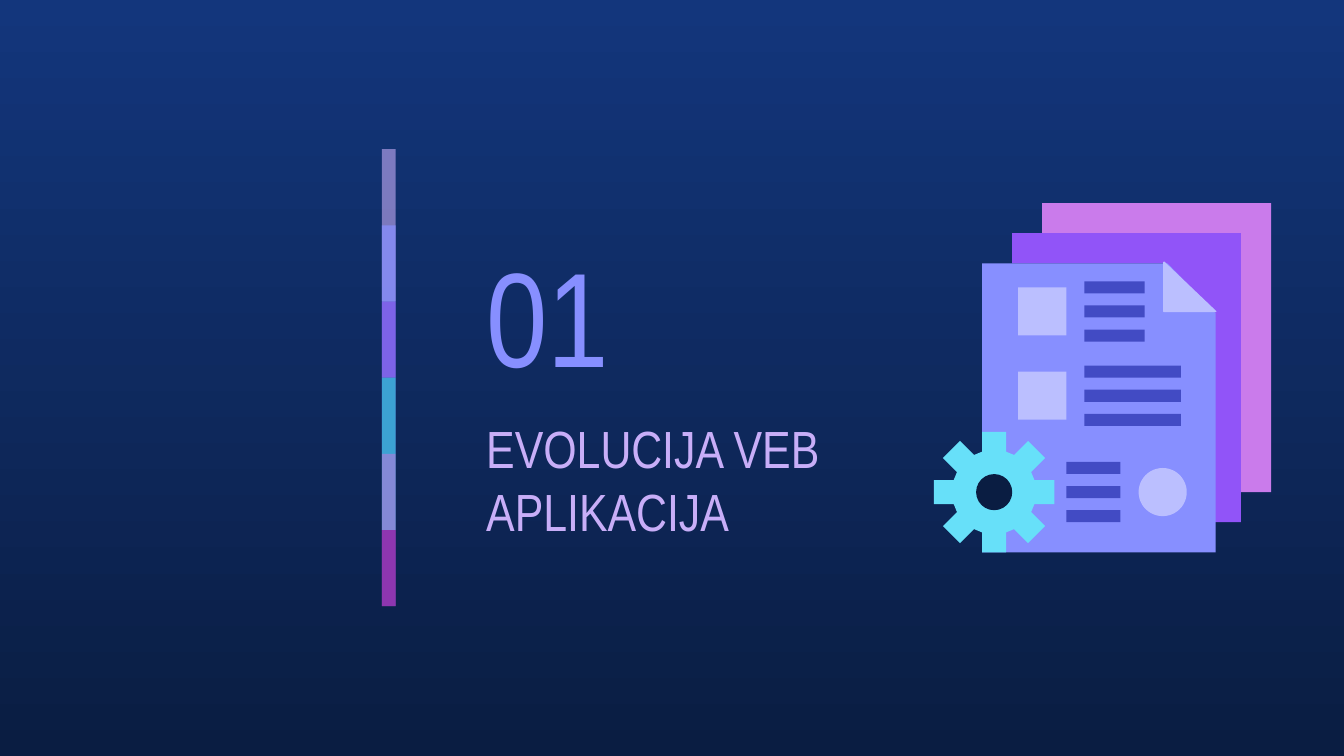
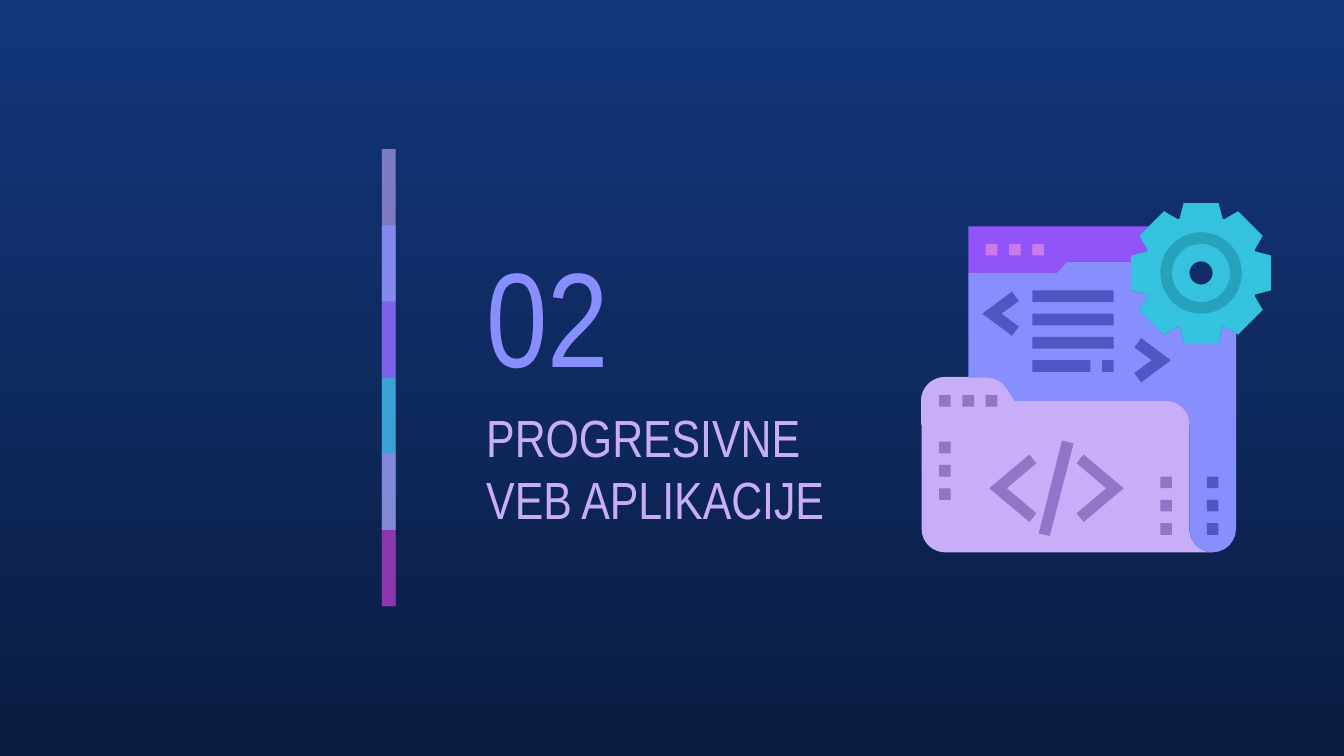
import math

import pptx
import pptx.dml.color
import pptx.enum.shapes
import pptx.enum.text
import pptx.oxml.ns
import pptx.util
from lxml import etree

Cm = pptx.util.Cm
PRESET = pptx.enum.shapes.MSO_SHAPE
ANCHOR = pptx.enum.text.MSO_ANCHOR

FONT = "Arial Narrow"
COLORS = {
    "sky": "13367C",
    "night": "0A1D42",
    "blue": "878FFF",
    "lilac": "C8AEF8",
    "violet": "9154F8",
    "pink": "CA7BEB",
    "purple": "972CB4",
    "cyan": "35C2DF",
    "teal": "26A2BC",
    "aqua": "67E0F9",
    "pale": "BBBFFF",
    "indigo": "424BC4",
    "code": "4F57C3",
    "plum": "9275C8",
}
# Colour and opacity of the overlapping bands, from top to bottom
BANDS = [("lilac", 59), ("blue", 74), ("violet", 53),
         ("cyan", 76), ("pink", 56), ("purple", 74)]
BAND_STEP = 1.44


def rgb(color):
    return pptx.dml.color.RGBColor.from_string(COLORS[color])


def paint(shape, color, line=False, opacity=None):
    shape.shadow.inherit = False
    shape.fill.solid()
    shape.fill.fore_color.rgb = rgb(color)
    if opacity is not None:
        qn = pptx.oxml.ns.qn
        solid = shape._element.spPr.find(qn("a:solidFill"))
        etree.SubElement(solid[0], qn("a:alpha"), val=str(opacity * 1000))
    if line:
        shape.line.color.rgb = rgb(color)
        shape.line.width = pptx.util.Pt(0.75)
    else:
        shape.line.fill.background()


def add_text(slide, text, left, top, width, height, *, size, color,
             anchor=ANCHOR.MIDDLE):
    frame = slide.shapes.add_textbox(
        Cm(left), Cm(top), Cm(width), Cm(height)).text_frame
    frame.word_wrap = True
    frame.vertical_anchor = anchor
    frame.margin_left = frame.margin_right = Cm(0.25)
    frame.margin_top = frame.margin_bottom = Cm(0.25)
    run = frame.paragraphs[0].add_run()
    run.text = text
    run.font.name = FONT
    run.font.size = pptx.util.Pt(size)
    run.font.color.rgb = rgb(color)


class Icon:
    """A group of shapes placed on a square grid of its own."""

    def __init__(self, slide, left, top, unit):
        self.shapes = slide.shapes.add_group_shape().shapes
        self.left, self.top, self.unit = left, top, unit

    def at(self, x, y):
        return Cm(self.left + x * self.unit), Cm(self.top + y * self.unit)

    def preset(self, kind, x, y, width, height, color):
        shape = self.shapes.add_shape(
            kind, *self.at(x, y), Cm(width * self.unit), Cm(height * self.unit))
        paint(shape, color)
        return shape

    def rect(self, x, y, width, height, color):
        self.preset(PRESET.RECTANGLE, x, y, width, height, color)

    def disc(self, x, y, radius, color):
        self.preset(PRESET.OVAL, x - radius, y - radius,
                    2 * radius, 2 * radius, color)

    def ring(self, x, y, radius, hole, color):
        donut = self.preset(PRESET.DONUT, x - radius, y - radius,
                            2 * radius, 2 * radius, color)
        donut.adjustments[0] = (radius - hole) / (2 * radius)

    def outline(self, color, *contours, line=False):
        pen = self.shapes.build_freeform(*self.at(*contours[0][0]))
        for index, contour in enumerate(contours):
            points = [self.at(*point) for point in contour]
            if index:
                pen.move_to(*points[0])
            pen.add_line_segments(points[1:], close=True)
        paint(pen.convert_to_shape(), color, line)


# Outlines as lists of grid points

def arc(x, y, radius, start, end, steps=12):
    angles = [math.radians(start + (end - start) * i / steps)
              for i in range(steps + 1)]
    return [(x + radius * math.cos(a), y + radius * math.sin(a)) for a in angles]


def gear_points(x, y, root, tip):
    """Eight teeth, clockwise from the top; root and tip are (half width, radius)."""
    tooth = [(-root[0], -root[1]), (-tip[0], -tip[1]),
             (tip[0], -tip[1]), (root[0], -root[1])]
    points = []
    for number in range(8):
        cos, sin = math.cos(number * math.pi / 4), math.sin(number * math.pi / 4)
        points += [(x + dx * cos - dy * sin, y + dx * sin + dy * cos)
                   for dx, dy in tooth]
    return points


def angle_bracket(x, y, side, outer, inner, notch):
    """Bracket with its tip at x, y; side is 1 for < and -1 for >."""
    offsets = [(outer[0], -outer[1]), (0, 0), outer,
               inner, (notch, 0), (inner[0], -inner[1])]
    return [(x + side * dx, y + dy) for dx, dy in offsets]


def draw_documents(slide):
    icon = Icon(slide, 17.65, 3.84, 6.6 / 58)
    # Three stacked sheets
    icon.outline("pink", [(18, 0), (18, 5), (51, 5), (51, 48), (56, 48), (56, 0)])
    icon.outline("violet", [(13, 5), (13, 10), (38, 10), (46, 18), (46, 53),
                            (51, 53), (51, 5)])
    icon.outline("blue", [(8, 10), (8, 58), (46.8, 58), (46.8, 18.3), (38.8, 10)])
    # Gear
    icon.outline("aqua", gear_points(10, 48, root=(2, 6.7), tip=(2, 10)))
    icon.disc(10, 48, 3, "night")
    # Thumbnails and lines of writing
    for y in (14, 28):
        icon.rect(14, y, 8, 8, "pale")
    icon.disc(38, 48, 4, "pale")
    for x, y, width in ((25, 13, 10), (25, 27, 16), (22, 43, 9)):
        for row in range(3):
            icon.rect(x, y + 4 * row, width, 2, "indigo")
    # Folded corner
    icon.outline("pale", [(38.2, 9.8), (38.2, 18), (46.8, 18)], line=True)


def draw_code_folder(slide):
    icon = Icon(slide, 17.42, 3.84, 6.6 / 30)
    gear = gear_points(24, 6, root=(1.85, 4.65), tip=(1.5, 6))
    gear_hole = arc(24, 6, 3, 0, 360, 48)
    folder_edge = arc(5.6, 17, 2, -90, -37) + [(8, 17)] + arc(21, 19, 2, -90, 0)
    # Folder
    icon.outline("lilac", [(0, 19)] + arc(2, 28, 2, 180, 90)
                 + arc(25, 28, 2, 90, 180) + [(23, 19)])
    icon.outline("lilac", arc(2, 17, 2, 270, 180) + [(0, 19)]
                 + folder_edge[::-1], line=True)
    # Page and its header, both cut along the gear
    icon.outline("blue", [(12.5, 5), (11.6, 6), (4, 6), (4, 15)] + folder_edge
                 + arc(25, 28, 2, 180, 0) + [(27, 11.2)] + gear[15:26] + [(18, 5)])
    icon.outline("violet", [(4, 2), (4, 6), (11.6, 6), (12.5, 5), (18, 5)]
                 + gear[26:30] + [(19.5, 2)])
    # Gear
    icon.ring(24, 6, 3, 1, "cyan")
    icon.outline("cyan", gear, gear_hole)
    icon.ring(24, 6, 3.5, 2.5, "teal")
    # Rows of dots: start, step, colour
    for x, y, dx, dy, color in ((5.5, 3.5, 2, 0, "pink"),
                                (1.5, 16.5, 2, 0, "plum"),
                                (1.5, 20.5, 0, 2, "plum"),
                                (20.5, 23.5, 0, 2, "plum"),
                                (24.5, 23.5, 0, 2, "code")):
        for i in range(3):
            icon.rect(x + i * dx, y + i * dy, 1, 1, color)
    # Code on the page
    for row, width in enumerate((7, 7, 7, 5)):
        icon.rect(9.5, 7.5 + 2 * row, width, 1, "code")
    icon.rect(15.5, 13.5, 1, 1, "code")
    for x, y, side in ((5.2, 9.5, 1), (21.4, 13.5, -1)):
        icon.outline("code", angle_bracket(
            x, y, side, outer=(2.55, 1.9), inner=(3.15, 1.1), notch=1.65))
    # Tag on the folder
    for x, side in ((5.8, 1), (17.35, -1)):
        icon.outline("plum", angle_bracket(
            x, 24.5, side, outer=(3.45, 2.9), inner=(4.05, 2.15), notch=1.5))
    icon.outline("plum", [(12.05, 20.4), (10.05, 28.4), (11, 28.6), (13.05, 20.65)])


def draw_bands(slide):
    bands = slide.shapes.add_group_shape().shapes
    for i, (color, opacity) in enumerate(BANDS):
        height = BAND_STEP * min(2, len(BANDS) - i)
        band = bands.add_shape(PRESET.RECTANGLE, Cm(7.22),
                               Cm(2.82 + i * BAND_STEP), Cm(0.26), Cm(height))
        paint(band, color, opacity=opacity)


def add_section(prs, number, title, draw_icon, title_height, title_anchor):
    slide = prs.slides.add_slide(prs.slide_layouts[6])
    # Background
    fill = slide.background.fill
    fill.gradient()
    fill.gradient_angle = 270
    for stop, color, position in zip(fill.gradient_stops, ("sky", "night"), (0, 1)):
        stop.color.rgb = rgb(color)
        stop.position = position
    # Number, title and decoration
    add_text(slide, number, 8.94, 4.22, 4.45, 3.43, size=72, color="blue")
    add_text(slide, title, 8.94, 7.62, 7.29, title_height,
             size=28, color="lilac", anchor=title_anchor)
    draw_icon(slide)
    draw_bands(slide)


def main():
    prs = pptx.Presentation()
    prs.slide_width, prs.slide_height = Cm(25.4), Cm(14.29)
    add_section(prs, "01", "EVOLUCIJA VEB APLIKACIJA", draw_documents,
                title_height=3.12, title_anchor=ANCHOR.TOP)
    add_section(prs, "02", "PROGRESIVNE VEB APLIKACIJE", draw_code_folder,
                title_height=2.44, title_anchor=ANCHOR.MIDDLE)
    prs.save("out.pptx")


if __name__ == "__main__":
    main()
